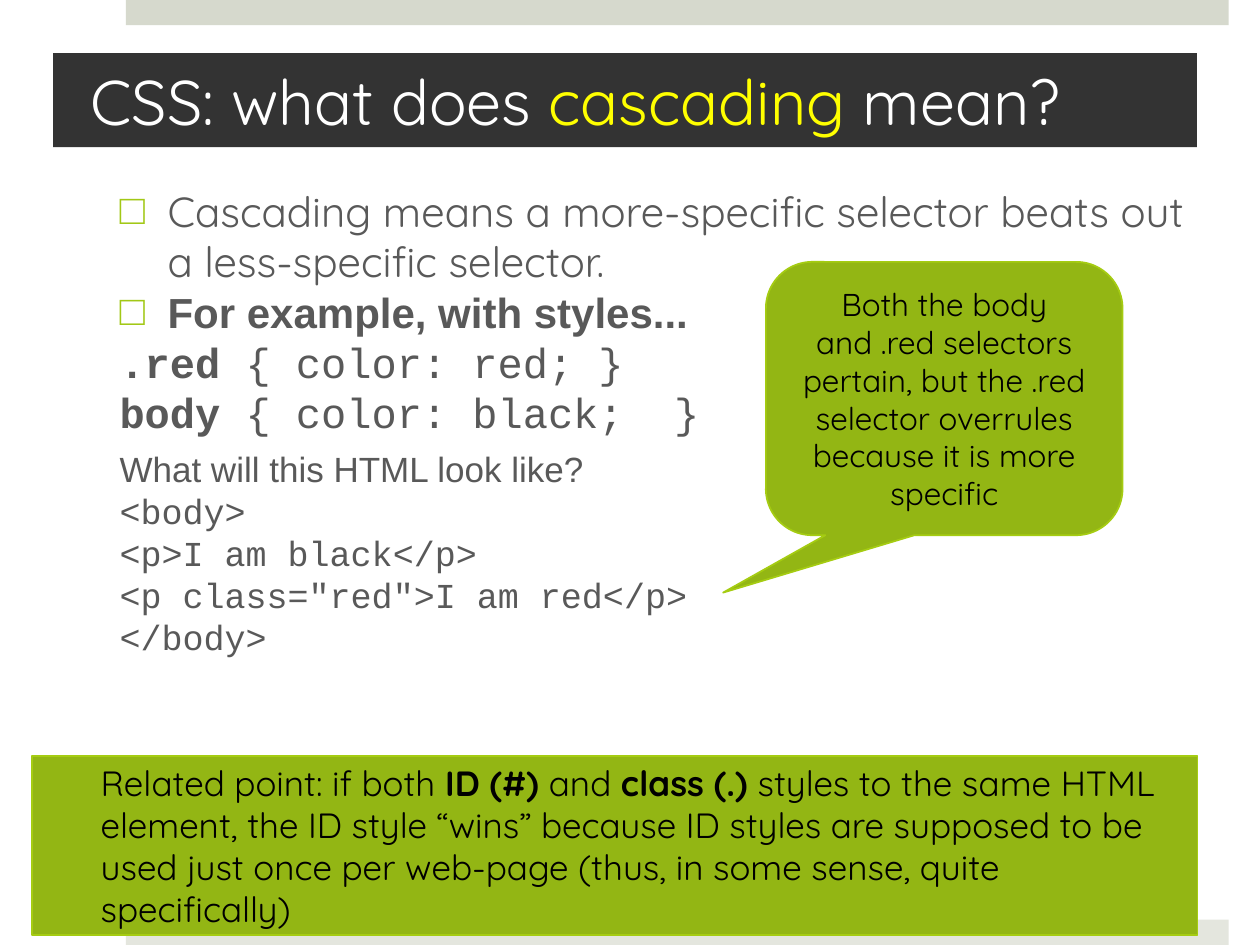
import pptx
import pptx.dml.color
import pptx.enum.shapes
import pptx.enum.text
import pptx.oxml
import pptx.oxml.ns
import pptx.util

Cm = pptx.util.Cm
Pt = pptx.util.Pt
SHAPE = pptx.enum.shapes.MSO_SHAPE
ALIGN = pptx.enum.text.PP_ALIGN
ANCHOR = pptx.enum.text.MSO_ANCHOR

# Theme: colours, and text styles as (font, size, colour, bold)
THEME = {
    "top_bar": "D6D9CD", "bottom_bar": "E4E6DE", "title_bar": "333333",
    "callout": "93B614", "callout_line": "A5CC12", "bullet": "A2C816",
    "styles": {
        "title": ("Quicksand", 36, "FFFFFF", False),
        "title_accent": ("Quicksand", 36, "FFFF00", False),
        "lead": ("Quicksand", 24, "595959", False),
        "heading": ("Arial", 24, "595959", True),
        "rule": ("Courier New", 24, "595959", False),
        "selector": ("Courier New", 24, "595959", True),
        "question": ("Arial", 20, "595959", False),
        "markup": ("Courier New", 20, "595959", False),
        "callout": ("Quicksand", 18, "000000", False),
        "note": ("Quicksand", 20, "000000", False),
        "note_bold": ("Quicksand", 20, "000000", True),
    },
}

# Content: each paragraph is a list of (text, style) runs
TITLE = [[("CSS: what does ", "title"), ("cascading", "title_accent"), (" mean?", "title")]]
BULLETS = [
    [("Cascading means a more-specific selector beats out a less-specific selector.", "lead")],
    [("For example, with styles...", "heading")],
]
RULES = [
    [(".red ", "selector"), ("{ color: red; }", "rule")],
    [("body ", "selector"), ("{ color: black;  }", "rule")],
]
QUESTION = [[("What will this HTML look like?", "question")]]
MARKUP = [[(line, "markup")] for line in (
    "<body>", "<p>I am black</p>", '<p class="red">I am red</p>', "</body>")]
CALLOUT = [[("Both the body and .red selectors pertain, but the .red selector "
             "overrules because it is more specific", "callout")]]
NOTE = [[
    ("Related point: if both ", "note"), ("ID (#) ", "note_bold"), ("and ", "note"),
    ("class (.) ", "note_bold"),
    ("styles to the same HTML element, the ID style “wins” because ID styles are "
     "supposed to be used just once per web-page (thus, in some sense, quite "
     "specifically)", "note"),
]]


def color(name):
    return pptx.dml.color.RGBColor.from_string(THEME.get(name, name))


def add_block(slide, kind, box, fill, line=None, adjustments=()):
    shape = slide.shapes.add_shape(kind, *map(Cm, box))
    shape.shadow.inherit = False
    shape.fill.solid()
    shape.fill.fore_color.rgb = color(fill)
    if line:
        shape.line.color.rgb = color(line)
        shape.line.width = Pt(1)
    else:
        shape.line.fill.background()
    for index, value in enumerate(adjustments):
        shape.adjustments[index] = value
    return shape


def write(shape, paragraphs, align=ALIGN.LEFT, anchor=ANCHOR.MIDDLE):
    frame = shape.text_frame
    frame.word_wrap = True
    frame.vertical_anchor = anchor
    for index, runs in enumerate(paragraphs):
        paragraph = frame.add_paragraph() if index else frame.paragraphs[0]
        paragraph.alignment = align
        for text, style in runs:
            run = paragraph.add_run()
            run.text = text
            font = run.font
            font.name, size, rgb, font.bold = THEME["styles"][style]
            font.size = Pt(size)
            font.color.rgb = color(rgb)
    return frame


def indent(paragraph, left, first_line=0):
    properties = paragraph._p.get_or_add_pPr()
    properties.set("marL", str(Cm(left)))
    properties.set("indent", str(Cm(first_line)))
    return properties


def add_bullet(properties):
    namespace = pptx.oxml.ns.nsdecls("a")
    for element in (f'<a:buClr {namespace}><a:srgbClr val="{THEME["bullet"]}"/></a:buClr>',
                    f'<a:buFont {namespace} typeface="Arial"/>',
                    f'<a:buChar {namespace} char="□"/>'):
        properties.append(pptx.oxml.parse_xml(element))


def main():
    presentation = pptx.Presentation()
    presentation.slide_width, presentation.slide_height = Cm(25.4), Cm(19.05)
    slide = presentation.slides.add_slide(presentation.slide_layouts[6])

    # Edge bars
    for top, fill in ((0, "top_bar"), (18.54, "bottom_bar")):
        add_block(slide, SHAPE.RECTANGLE, (2.54, top, 22.23, 0.51), fill)

    # Title bar
    title = add_block(slide, SHAPE.RECTANGLE, (1.07, 1.07, 23.06, 1.9), "title_bar")
    frame = write(title, TITLE)
    frame.margin_left = frame.margin_right = Cm(0.76)

    # Explanation and code
    body = slide.shapes.add_textbox(*map(Cm, (2.16, 3.61, 22.17, 13.97)))
    frame = write(body, BULLETS + RULES + QUESTION + MARKUP, anchor=ANCHOR.TOP)
    question_index = len(BULLETS + RULES)
    frame.paragraphs[question_index].space_before = Pt(6)
    for index, paragraph in enumerate(frame.paragraphs):
        properties = indent(paragraph, 0.97, -0.97)
        if index < len(BULLETS):
            add_bullet(properties)

    # Callout pointing at the red line
    callout = add_block(slide, SHAPE.ROUNDED_RECTANGULAR_CALLOUT, (15.44, 5.28, 7.19, 5.51),
                        "callout", "callout_line", (-0.62, 0.71, 0.17))
    write(callout, CALLOUT, ALIGN.CENTER)

    # Related point
    note = add_block(slide, SHAPE.RECTANGULAR_CALLOUT, (0.64, 15.24, 23.5, 3.61),
                     "callout", "callout_line", (-0.22, 0.5))
    paragraph = write(note, NOTE).paragraphs[0]
    paragraph.level = 1
    indent(paragraph, 1.14)

    presentation.save("out.pptx")


if __name__ == "__main__":
    main()
